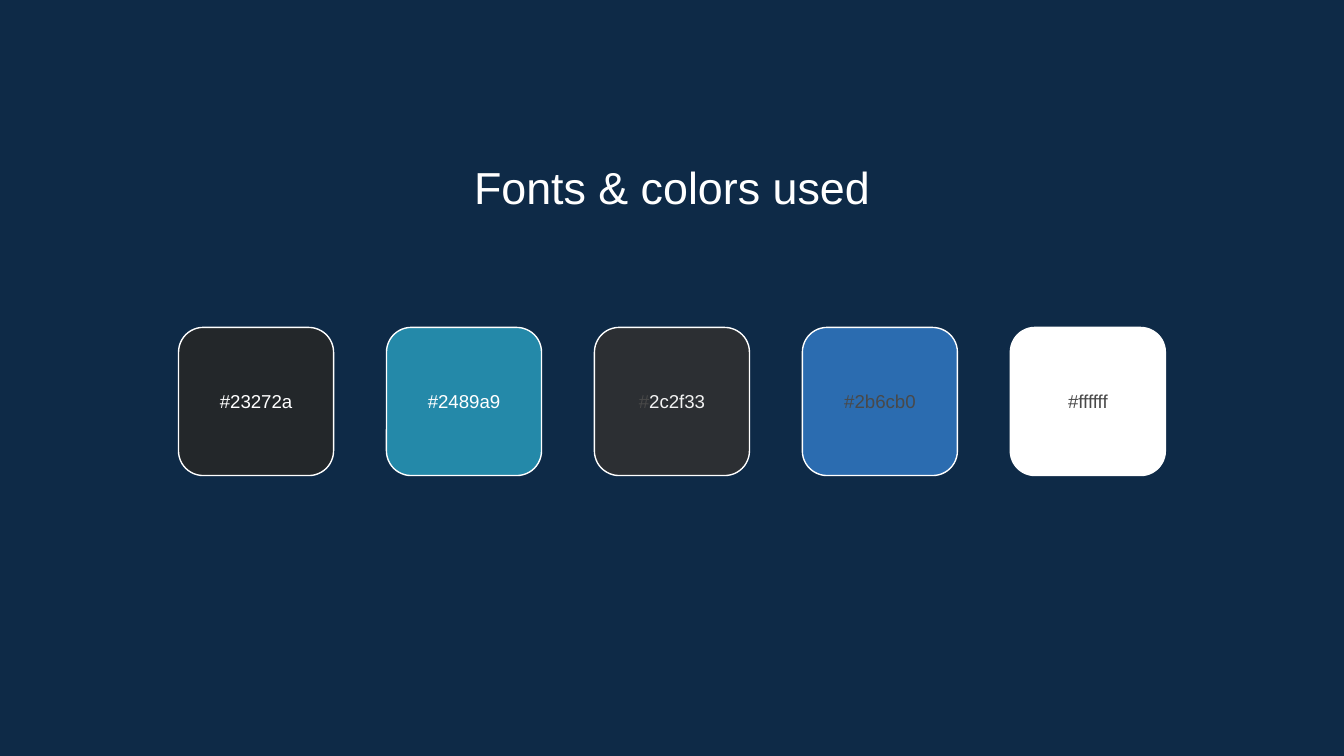
from pptx import Presentation
from pptx.dml.color import RGBColor
from pptx.enum.shapes import MSO_SHAPE
from pptx.enum.text import MSO_ANCHOR, MSO_AUTO_SIZE, PP_ALIGN
from pptx.util import Cm, Pt

WHITE, GREY, PALE = "FFFFFF", "494949", "F2F2F2"
WIDE, TALL = 25.4, 14.29
SIDE, HIGH, STEP, TOP = 2.93, 2.8, 3.93, 6.19
SWATCHES = [
    ("23272A", [("#23272a", WHITE)]),
    ("2489A9", [("#2489a9", WHITE)]),
    ("2C2F33", [("#", GREY), ("2c2f33", PALE)]),
    ("2B6CB0", [("#2b6cb0", GREY)]),
    ("FFFFFF", [("#ffffff", GREY)]),
]


def paint(fill, hue):
    """Give a fill one solid colour."""
    fill.solid()
    fill.fore_color.rgb = RGBColor.from_string(hue)


def write(shape, runs, size=10, anchor=MSO_ANCHOR.MIDDLE, top=0.25):
    """Put centred runs of (text, colour) into a shape."""
    frame = shape.text_frame
    frame.word_wrap = True
    frame.auto_size = MSO_AUTO_SIZE.NONE
    frame.vertical_anchor = anchor
    frame.margin_left = frame.margin_right = frame.margin_bottom = Cm(0.25)
    frame.margin_top = Cm(top)
    line = frame.paragraphs[0]
    line.alignment = PP_ALIGN.CENTER
    line.line_spacing = 1.0
    for text, hue in runs:
        run = line.add_run()
        run.text = text
        run.font.name = "Arial"
        run.font.size = Pt(size)
        paint(run.font.fill, hue)


def swatch(group, left, hue, runs):
    """Draw one rounded colour tile with its code."""
    tile = group.shapes.add_shape(
        MSO_SHAPE.ROUNDED_RECTANGLE, Cm(left), Cm(TOP), Cm(SIDE), Cm(HIGH))
    tile.shadow.inherit = False
    paint(tile.fill, hue)
    paint(tile.line.fill, WHITE)
    tile.line.width = Pt(0.75)
    label = group.shapes.add_textbox(
        Cm(left), Cm(TOP + 0.59), Cm(SIDE), Cm(HIGH - 1.18))
    write(label, runs)


def head(slide, text):
    """Place and fill the title."""
    title = slide.shapes.title
    title.left, title.top = Cm(2.91), Cm(2.64)
    title.width, title.height = Cm(19.58), Cm(1.35)
    write(title, [(text, WHITE)], size=24, anchor=MSO_ANCHOR.TOP, top=0.38)


def main():
    """Build the palette slide."""
    deck = Presentation()
    deck.slide_width, deck.slide_height = Cm(WIDE), Cm(TALL)
    slide = deck.slides.add_slide(deck.slide_layouts[5])
    paint(slide.background.fill, "0E2A47")
    head(slide, "Fonts & colors used")
    group = slide.shapes.add_group_shape()
    start = (WIDE - STEP * (len(SWATCHES) - 1) - SIDE) / 2
    for col, (hue, runs) in enumerate(SWATCHES):
        swatch(group, start + col * STEP, hue, runs)
    deck.save("out.pptx")


if __name__ == "__main__":
    main()
